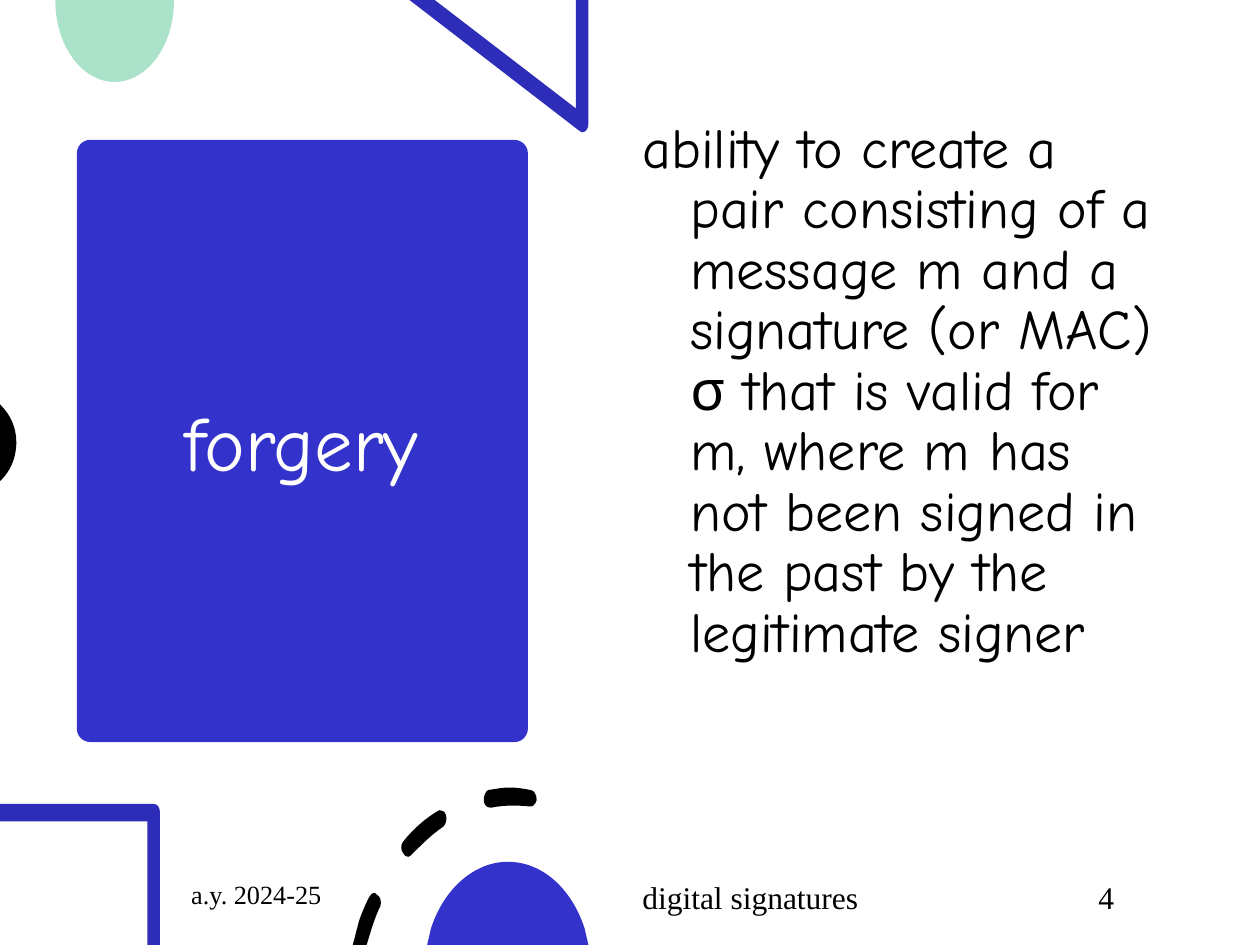
"""Build the "forgery" definition slide."""
from lxml import etree
from pptx import Presentation
from pptx import util as u
from pptx.dml.color import RGBColor
from pptx.enum import shapes, text
from pptx.oxml.ns import qn

COLORS = {"blue": "3333CC", "navy": "2D2DB9", "mint": "AAE2CA",
          "black": "000000", "white": "FFFFFF"}
COMIC, TIMES = "Comic Neue", "Times New Roman"

CARD = (0.61, 1.11, 3.58, 4.78)
TITLE = "forgery"
DEFINITION = ("ability to create a pair consisting of a message m and a signature "
              "(or MAC) σ that is valid for m, where m has not been signed in the "
              "past by the legitimate signer")
FOOTERS = [
    ("a.y. 2024-25", (1.38, 6.95, 1.27, 0.4), 15, text.PP_ALIGN.RIGHT),
    ("digital signatures", (5, 6.95, 3.53, 0.4), 18, text.PP_ALIGN.LEFT),
    ("4", (8.62, 6.95, 0.7, 0.4), 18, text.PP_ALIGN.LEFT),
]

# Each contour is a list of points: two numbers end a line, six end a Bézier curve.
MINT_OVAL = [[(1.38, 0), (0.44, 0), (0.44, 0.01), (0.44, 0.36, 0.65, 0.65, 0.91, 0.65),
              (1.17, 0.65, 1.38, 0.36, 1.38, 0.01)]]
TRIANGLE = [[(4.67, 0), (4.57, 0), (4.57, 0.86), (3.45, 0), (3.25, 0), (4.6, 1.04),
             (4.61, 1.05, 4.61, 1.05, 4.62, 1.05), (4.65, 1.05, 4.67, 1.02, 4.67, 0.98)]]
EDGE_DOT = [[(0, 3.21), (0, 3.82), (0.01, 3.81), (0.08, 3.74, 0.13, 3.64, 0.13, 3.51),
             (0.13, 3.39, 0.08, 3.29, 0.01, 3.22)]]
CORNER = [[(1.22, 6.38), (0, 6.38), (0, 6.52), (1.17, 6.52), (1.17, 7.5), (1.27, 7.5),
           (1.27, 6.45), (1.27, 6.41, 1.25, 6.38, 1.22, 6.38)]]
DASHES = [
    [(2.98, 7.09), (2.96, 7.08, 2.94, 7.1, 2.93, 7.12),
     (2.9, 7.18, 2.87, 7.25, 2.85, 7.31), (2.8, 7.5), (2.91, 7.5), (2.95, 7.37),
     (2.97, 7.31, 2.99, 7.25, 3.02, 7.19), (3.03, 7.16, 3.02, 7.11, 2.99, 7.1),
     (2.99, 7.09, 2.98, 7.09, 2.98, 7.09)],
    [(3.49, 6.43), (3.48, 6.43, 3.48, 6.43, 3.47, 6.44),
     (3.37, 6.5, 3.28, 6.58, 3.2, 6.68), (3.18, 6.7, 3.18, 6.75, 3.2, 6.77),
     (3.21, 6.79, 3.22, 6.8, 3.24, 6.8), (3.24, 6.8),
     (3.25, 6.8, 3.26, 6.79, 3.27, 6.78), (3.35, 6.7, 3.43, 6.62, 3.52, 6.56),
     (3.54, 6.54, 3.55, 6.5, 3.54, 6.47), (3.53, 6.44, 3.51, 6.43, 3.49, 6.43)],
    [(4.05, 6.25), (3.99, 6.25, 3.94, 6.26, 3.88, 6.27),
     (3.86, 6.27, 3.84, 6.31, 3.84, 6.35), (3.84, 6.38, 3.86, 6.41, 3.89, 6.41),
     (3.89, 6.41, 3.9, 6.41, 3.9, 6.41), (4, 6.39, 4.1, 6.39, 4.2, 6.4),
     (4.23, 6.41, 4.25, 6.38, 4.26, 6.35), (4.26, 6.31, 4.24, 6.27, 4.21, 6.27),
     (4.21, 6.27, 4.21, 6.27, 4.21, 6.27), (4.16, 6.26, 4.1, 6.25, 4.05, 6.25)],
]
BLUE_OVAL = [[(4.03, 6.84), (3.76, 6.84, 3.52, 7.06, 3.42, 7.37), (3.39, 7.5),
              (4.67, 7.5), (4.64, 7.37), (4.54, 7.06, 4.31, 6.84, 4.03, 6.84)]]


def rgb(name):
    return RGBColor.from_string(COLORS[name])


def paint(sp, color):
    sp.shadow.inherit = False
    sp.fill.solid()
    sp.fill.fore_color.rgb = rgb(color)
    sp.line.fill.background()


def add_outline(s, color, contours):
    ends = [[tuple(map(u.Inches, step[-2:])) for step in contour] for contour in contours]
    builder = s.shapes.build_freeform(*ends[0][0])
    builder.add_line_segments(ends[0][1:])
    for points in ends[1:]:
        builder.move_to(*points[0])
        builder.add_line_segments(points[1:])
    sp = builder.convert_to_shape()
    paint(sp, color)

    steps = [step for contour in contours for step in contour[1:]]
    segments = list(sp._element.iter(qn("a:lnTo")))
    for step, segment in zip(steps, segments):
        if len(step) == 6:
            segment.tag = qn("a:cubicBezTo")
            for i in (0, 2):
                pt = etree.Element(qn("a:pt"), x=str(u.Inches(step[i]) - sp.left),
                                   y=str(u.Inches(step[i + 1]) - sp.top))
                segment.insert(i // 2, pt)


def add_text(s, content, box, size, font=COMIC, color="black", align=text.PP_ALIGN.LEFT,
             anchor=text.MSO_ANCHOR.TOP, spacing=1.0, after=0, hanging=0):
    tf = s.shapes.add_textbox(*map(u.Inches, box)).text_frame
    tf.word_wrap = True
    tf.vertical_anchor = anchor
    p = tf.paragraphs[0]
    p.alignment, p.line_spacing, p.space_after = align, spacing, u.Pt(after)
    if hanging:
        props = p._p.get_or_add_pPr()
        props.set("marL", str(u.Inches(hanging)))
        props.set("indent", str(-u.Inches(hanging)))
    r = p.add_run()
    r.text = content
    r.font.name, r.font.size, r.font.color.rgb = font, u.Pt(size), rgb(color)


def main():
    prs = Presentation()
    prs.slide_width, prs.slide_height = u.Inches(10), u.Inches(7.5)
    s = prs.slides.add_slide(prs.slide_layouts[6])

    card = s.shapes.add_shape(shapes.MSO_SHAPE.ROUNDED_RECTANGLE, *map(u.Inches, CARD))
    card.adjustments[0] = 0.03
    paint(card, "blue")
    add_text(s, TITLE, (0.78, 1.22, 3.23, 4.56), 44, color="white",
             align=text.PP_ALIGN.CENTER, anchor=text.MSO_ANCHOR.MIDDLE)

    for color, contours in (("mint", MINT_OVAL), ("navy", TRIANGLE), ("black", EDGE_DOT),
                            ("navy", CORNER), ("black", DASHES), ("blue", BLUE_OVAL)):
        add_outline(s, color, contours)

    add_text(s, DEFINITION, (5, 0.9, 4.31, 5.35), 32, spacing=0.9, hanging=0.38)
    for content, box, size, align in FOOTERS:
        add_text(s, content, box, size, font=TIMES, align=align, spacing=0.9, after=6)

    prs.save("out.pptx")


if __name__ == "__main__":
    main()
